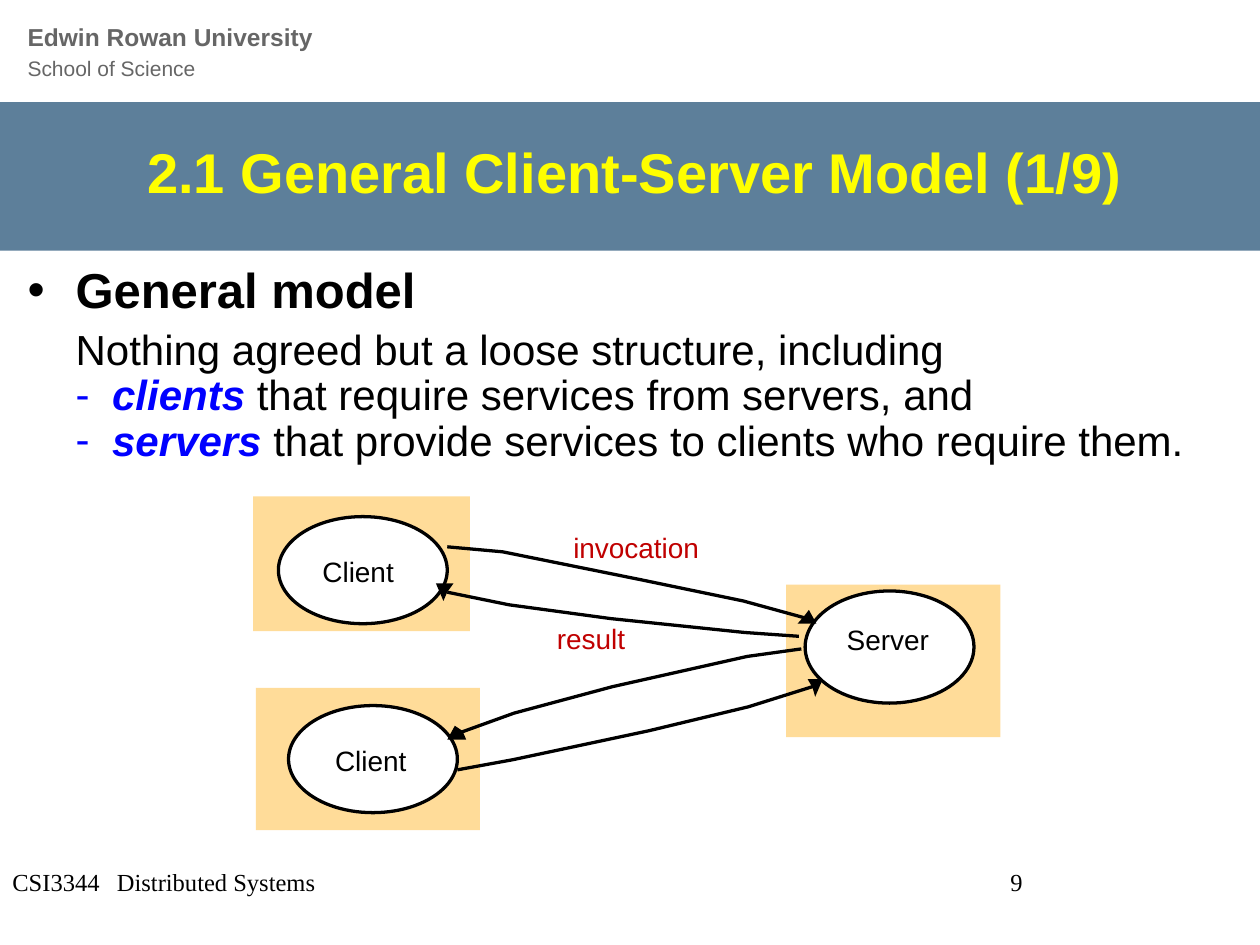
from lxml import etree
from pptx import Presentation
from pptx.dml.color import RGBColor
from pptx.enum.shapes import MSO_SHAPE
from pptx.enum.text import MSO_ANCHOR, MSO_AUTO_SIZE, PP_ALIGN
from pptx.oxml.ns import qn
from pptx.util import Inches, Pt

RECTANGLE, ELLIPSE = MSO_SHAPE.RECTANGLE, MSO_SHAPE.OVAL
LEFT, RIGHT = PP_ALIGN.LEFT, PP_ALIGN.RIGHT
TOP, MIDDLE = MSO_ANCHOR.TOP, MSO_ANCHOR.MIDDLE
NO_AUTOFIT = MSO_AUTO_SIZE.NONE

BLACK = RGBColor(0x00, 0x00, 0x00)
WHITE = RGBColor(0xFF, 0xFF, 0xFF)
GREY = RGBColor(0x66, 0x66, 0x66)
YELLOW = RGBColor(0xFF, 0xFF, 0x00)
BLUE = RGBColor(0x00, 0x00, 0xFF)
RED = RGBColor(0xC0, 0x00, 0x00)
SLATE = RGBColor(0x5D, 0x7F, 0x9A)
SAND = RGBColor(0xFF, 0xDC, 0x99)

BAND = (0, 0.81, 10.04, 1.18)
TITLE = "2.1 General Client-Server Model (1/9)"
HEADER = [("Edwin Rowan University\v", {"size": 14, "bold": True}), ("School of Science", {})]
KEYWORD = {"color": BLUE, "bold": True, "italic": True}
BODY = [
    ([("General model", {})],
     {"size": 28, "bold": True, "before": 7, "bullet": "•", "margin": 0.38, "hang": 0.38}),
    ([("Nothing agreed but a loose structure, including", {})],
     {"before": 6, "margin": 0.38}),
    ([("clients", KEYWORD), (" that require services from servers, and", {})],
     {"bullet": "-", "margin": 0.67, "hang": 0.29}),
    ([("servers", KEYWORD), (" that provide services to clients who require them.", {})],
     {"bullet": "-", "margin": 0.67, "hang": 0.29}),
]
FOOTER = [
    ("CSI3344", (0, 6.83, 2.08, 0.5)),
    ("Distributed Systems", (0.83, 6.83, 3.17, 0.5)),
    ("9", (7.92, 6.83, 2.08, 0.5)),
]
NODES = [
    ("Server", (6.24, 4.64, 1.7, 1.21), (6.39, 4.69, 1.34, 0.89), (6.72, 4.94, 0.65, 0.27)),
    ("Client", (2.01, 3.94, 1.72, 1.07), (2.21, 4.1, 1.34, 0.85), (2.56, 4.4, 0.57, 0.27)),
    ("Client", (2.03, 5.46, 1.78, 1.13), (2.29, 5.6, 1.34, 0.85), (2.66, 5.9, 0.57, 0.27)),
]
MESSAGES = [
    ("invocation", (4.55, 4.21, 1, 0.27)),
    ("result", (4.42, 4.93, 0.54, 0.27)),
]
FLOWS = [
    ([(6.34, 5.05), (5.91, 5.02), (4.85, 4.91), (4.04, 4.8), (3.55, 4.7)],
     [(3.55, 4.7), (3.52, 4.77), (3.46, 4.63), (3.6, 4.63)]),
    ([(3.55, 4.34), (3.99, 4.38), (5.08, 4.6), (5.9, 4.77), (6.41, 4.91)],
     [(6.39, 4.88), (6.42, 4.84), (6.48, 4.95), (6.33, 4.95)]),
    ([(3.63, 6.11), (4.07, 6.03), (5.15, 5.8), (5.94, 5.61), (6.48, 5.44)],
     [(6.45, 5.46), (6.41, 5.39), (6.53, 5.39), (6.47, 5.53)]),
    ([(6.36, 5.15), (5.93, 5.21), (4.86, 5.45), (4.08, 5.66), (3.58, 5.84)],
     [(3.67, 5.8), (3.7, 5.87), (3.55, 5.87), (3.61, 5.76)]),
]


def write(paragraph, runs, font="Arial", size=16, color=BLACK, bold=False, italic=False,
          align=LEFT, spacing=None, before=0, bullet=None, margin=0, hang=0):
    paragraph.alignment = align
    paragraph.line_spacing = spacing
    paragraph.space_before = Pt(before)
    properties = paragraph._p.get_or_add_pPr()
    properties.set("marL", str(Inches(margin)))
    properties.set("indent", str(-Inches(hang)))
    if bullet:
        etree.SubElement(properties, qn("a:buChar")).set("char", bullet)
    else:
        etree.SubElement(properties, qn("a:buNone"))
    base = {"size": size, "color": color, "bold": bold, "italic": italic}
    for text, changes in runs:
        look = {**base, **changes}
        first, *rest = text.split("\v")
        run = paragraph.add_run()
        run.text = first
        run.font.name = font
        run.font.size = Pt(look["size"])
        run.font.bold = look["bold"]
        run.font.italic = look["italic"]
        run.font.color.rgb = look["color"]
        if rest:
            paragraph.add_line_break()


def place(shape, box):
    shape.left, shape.top, shape.width, shape.height = map(Inches, box)


def set_frame(frame, anchor=TOP, wrap=True, inset=(0.1, 0.05)):
    frame.auto_size = NO_AUTOFIT
    frame.word_wrap = wrap
    frame.vertical_anchor = anchor
    frame.margin_left = frame.margin_right = Inches(inset[0])
    frame.margin_top = frame.margin_bottom = Inches(inset[1])
    return frame


def add_label(slide, runs, box, wrap=True, inset=(0.1, 0.05), **look):
    label = slide.shapes.add_textbox(*map(Inches, box))
    write(set_frame(label.text_frame, wrap=wrap, inset=inset).paragraphs[0], runs, **look)


def paint(shape, fill=None, outlined=False):
    shape.shadow.inherit = False
    if fill is None:
        shape.fill.background()
    else:
        shape.fill.solid()
        shape.fill.fore_color.rgb = fill
    if outlined:
        shape.line.color.rgb = BLACK
        shape.line.width = Pt(1.87)
    else:
        shape.line.fill.background()


def add_preset(slide, preset, box, fill, outlined=False):
    shape = slide.shapes.add_shape(preset, *map(Inches, box))
    paint(shape, fill, outlined)
    return shape


def add_outline(slide, points, close, **look):
    start, *others = [(Inches(x), Inches(y)) for x, y in points]
    builder = slide.shapes.build_freeform(*start)
    builder.add_line_segments(others, close=close)
    paint(builder.convert_to_shape(), **look)


def main():
    deck = Presentation()
    deck.slide_width, deck.slide_height = Inches(10), Inches(7.5)
    slide = deck.slides.add_slide(deck.slide_layouts[1])
    title, body = slide.placeholders

    band = add_preset(slide, RECTANGLE, BAND, SLATE)
    title.element.addprevious(band.element)
    add_label(slide, HEADER, (0.12, 0.13, 5.89, 0.57), size=12, color=GREY,
              spacing=Pt(16.7), before=7.5)

    place(title, (0.51, 0.98, 8.5, 0.75))
    write(set_frame(title.text_frame, anchor=MIDDLE).paragraphs[0], [(TITLE, {})],
          size=32, color=YELLOW, bold=True, align=RIGHT)

    place(body, (0.12, 2.06, 9.5, 1.83))
    frame = set_frame(body.text_frame)
    for index, (runs, look) in enumerate(BODY):
        paragraph = frame.add_paragraph() if index else frame.paragraphs[0]
        write(paragraph, runs, **{"size": 24, "spacing": 0.9, **look})

    for text, box in FOOTER:
        add_label(slide, [(text, {})], box, font="Times New Roman", size=14)

    for name, panel, ellipse, label in NODES:
        add_preset(slide, RECTANGLE, panel, SAND)
        add_preset(slide, ELLIPSE, ellipse, WHITE, outlined=True)
        add_label(slide, [(name, {})], label, wrap=False, inset=(0, 0))

    for curve, head in FLOWS:
        add_outline(slide, head, close=True, fill=BLACK)
        add_outline(slide, curve, close=False, outlined=True)

    for text, box in MESSAGES:
        add_label(slide, [(text, {})], box, wrap=False, inset=(0, 0), color=RED)

    deck.save("out.pptx")


if __name__ == "__main__":
    main()
